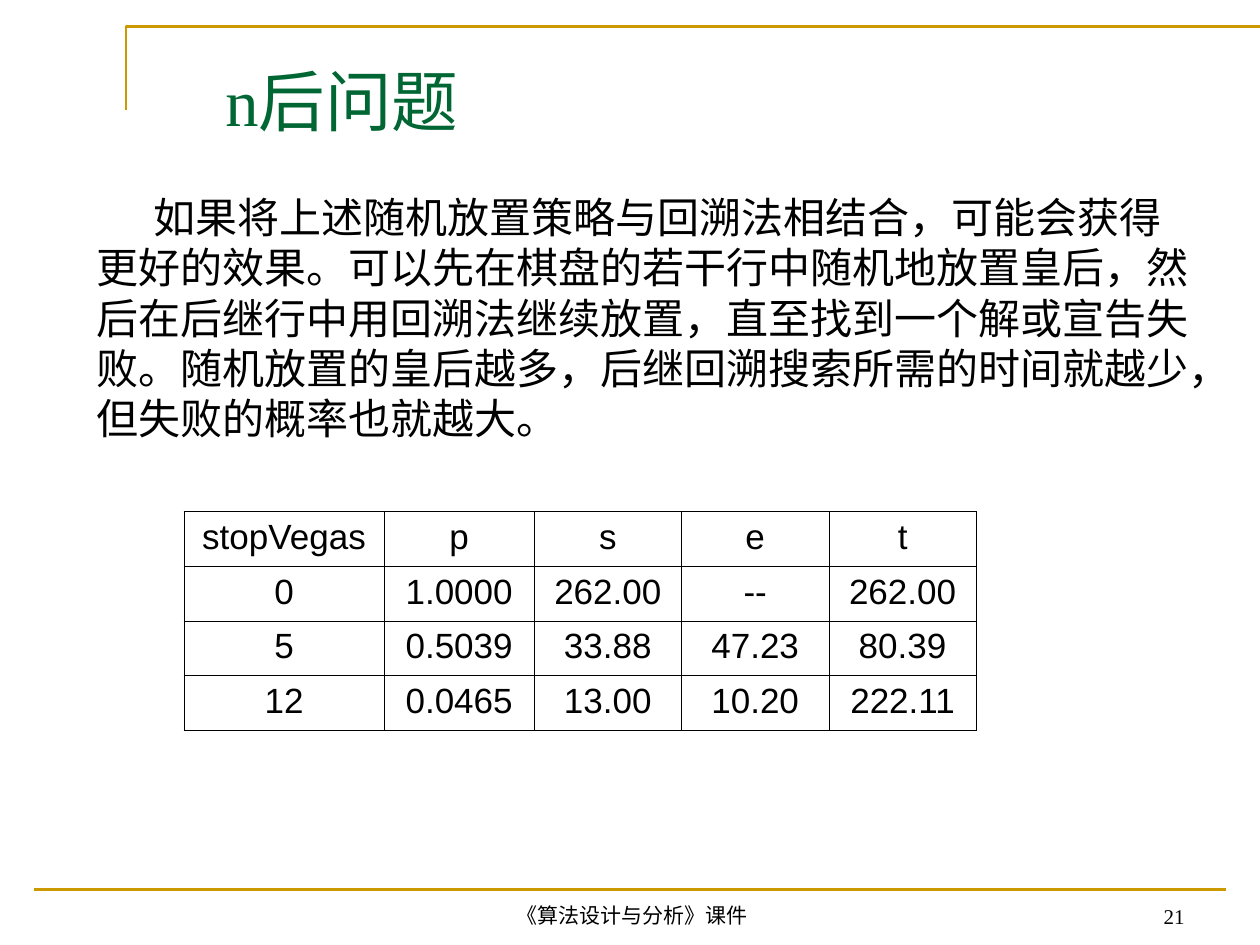
import pptx
import pptx.dml.color
import pptx.enum.shapes
import pptx.enum.text
import pptx.oxml
import pptx.oxml.ns
import pptx.util
from lxml import etree

Inches = pptx.util.Inches
Pt = pptx.util.Pt
Align = pptx.enum.text.PP_ALIGN
Anchor = pptx.enum.text.MSO_ANCHOR

GOLD = pptx.dml.color.RGBColor(0xCC, 0x99, 0x00)
GREEN = pptx.dml.color.RGBColor(0x00, 0x66, 0x33)
BLACK = pptx.dml.color.RGBColor(0x00, 0x00, 0x00)

SERIF = "Times New Roman"
SANS = "Arial"

BODY = (
    "如果将上述随机放置策略与回溯法相结合，可能会获得更好的效果。"
    "可以先在棋盘的若干行中随机地放置皇后，然后在后继行中用回溯法继续放置，"
    "直至找到一个解或宣告失败。随机放置的皇后越多，后继回溯搜索所需的时间就越少，"
    "但失败的概率也就越大。"
)
RESULTS = [
    ["stopVegas", "p", "s", "e", "t"],
    ["0", "1.0000", "262.00", "--", "262.00"],
    ["5", "0.5039", "33.88", "47.23", "80.39"],
    ["12", "0.0465", "13.00", "10.20", "222.11"],
]


class SlideBuilder:
    rule_width = Pt(1.5)
    border_width = Pt(0.45)

    def __init__(self, page):
        self.page = page

    def style_line(self, line):
        line.color.rgb = GOLD
        line.width = self.rule_width

    def style_paragraph(self, para, size, font, color, align):
        para.alignment = align
        para.font.size = Pt(size)
        para.font.name = font
        para.font.color.rgb = color

    def corner(self, points):
        start, *rest = [(Inches(x), Inches(y)) for x, y in points]
        builder = self.page.shapes.build_freeform(*start)
        builder.add_line_segments(rest, close=False)
        shape = builder.convert_to_shape()
        shape.shadow.inherit = False
        shape.fill.background()
        self.style_line(shape.line)

    def rule(self, left, right, top):
        connector = self.page.shapes.add_connector(
            pptx.enum.shapes.MSO_CONNECTOR.STRAIGHT,
            Inches(left), Inches(top), Inches(right), Inches(top))
        self.style_line(connector.line)
        properties = connector.element.spPr
        etree.SubElement(properties, pptx.oxml.ns.qn("a:effectLst"))

    def text(self, words, area, size, font=SERIF, color=BLACK,
             align=Align.LEFT, anchor=Anchor.TOP, indent=0):
        box = self.page.shapes.add_textbox(*map(Inches, area))
        frame = box.text_frame
        frame.word_wrap = True
        frame.vertical_anchor = anchor
        para = frame.paragraphs[0]
        para.text = words
        self.style_paragraph(para, size, font, color, align)
        if indent:
            para._p.get_or_add_pPr().set("indent", str(Inches(indent)))

    def border(self, cell):
        properties = cell._tc.get_or_add_tcPr()
        for position, side in enumerate(("lnL", "lnR", "lnT", "lnB")):
            properties.insert(position, pptx.oxml.parse_xml(
                f'<a:{side} {pptx.oxml.ns.nsdecls("a")} w="{self.border_width}">'
                f'<a:solidFill><a:srgbClr val="{BLACK}"/></a:solidFill></a:{side}>'))

    def table(self, rows, left, top, widths, row_height):
        table = self.page.shapes.add_table(
            len(rows), len(widths), Inches(left), Inches(top),
            Inches(sum(widths)), Inches(row_height * len(rows))).table
        table.first_row = False
        table.horz_banding = False
        for column, width in zip(table.columns, widths):
            column.width = Inches(width)
        for row, values in zip(table.rows, rows):
            row.height = Inches(row_height)
            for cell, value in zip(row.cells, values):
                cell.text = value
                cell.fill.background()
                self.style_paragraph(
                    cell.text_frame.paragraphs[0], 20, SANS, BLACK, Align.CENTER)
                self.border(cell)


def main():
    deck = pptx.Presentation()
    deck.slide_width = Inches(10)
    deck.slide_height = Inches(7.5)
    slide = SlideBuilder(deck.slides.add_slide(deck.slide_layouts[6]))

    slide.corner([(1, 0.87), (1, 0.21), (10, 0.21)])
    slide.rule(0.27, 9.73, 7.06)
    slide.text("《算法设计与分析》课件", (3.43, 7.06, 3.17, 0.35), 12,
               align=Align.CENTER, anchor=Anchor.BOTTOM)
    slide.text("21", (7.17, 7.06, 2.33, 0.36), 12,
               align=Align.RIGHT, anchor=Anchor.BOTTOM)
    slide.text("n后问题", (1.69, 0.44, 6.22, 0.71), 38, color=GREEN,
               anchor=Anchor.MIDDLE)
    slide.text(BODY, (0.67, 1.47, 8.9, 2.1), 24, font=SANS, indent=0.45)
    slide.table(RESULTS, 1.46, 4.06, [1.59, 1.19, 1.17, 1.17, 1.17], 0.43)

    deck.save("out.pptx")


if __name__ == "__main__":
    main()
